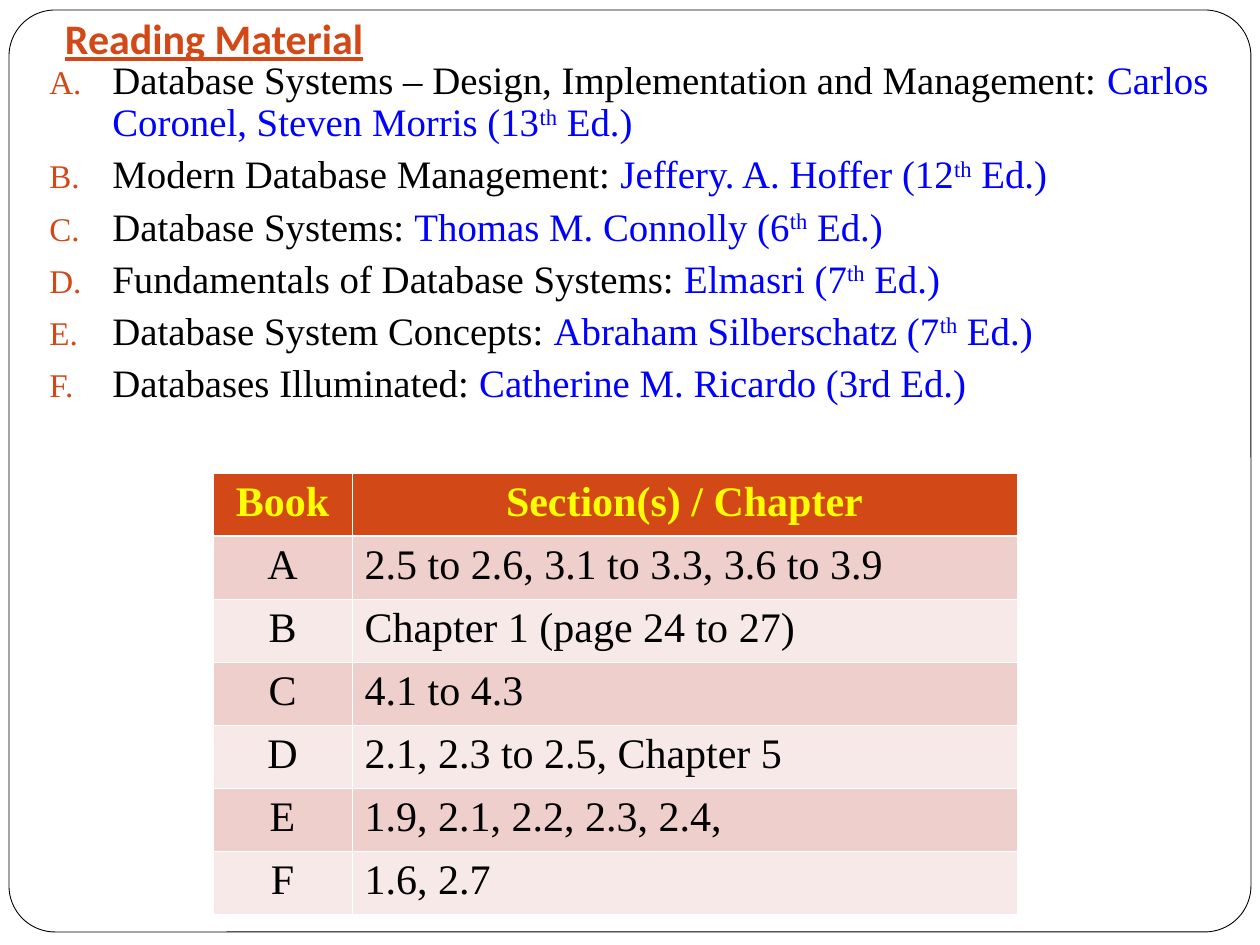
from lxml.etree import SubElement
from pptx import Presentation
from pptx.dml.color import RGBColor
from pptx.enum.shapes import MSO_SHAPE as Shape
from pptx.enum.text import MSO_ANCHOR as Anchor, MSO_AUTO_SIZE as AutoSize, PP_ALIGN as Align
from pptx.oxml.ns import qn
from pptx.util import Emu, Pt

ORANGE, BLUE, BLACK, WHITE, YELLOW = "D34817", "0000FF", "000000", "FFFFFF", "FFFF00"
BANDS = ["F7E9E7", "EFCFCC"]
SERIF = "Times New Roman"


def px(count):
    """Turn pixels, 126 to the inch, into EMU."""
    return Emu(round(count * 914400 / 126))


def add_span(para, text, color, **formats):
    span = para.add_run()
    span.text = text
    span.font.color.rgb = RGBColor.from_string(color)
    for name, value in formats.items():
        setattr(span.font, name, value)
    return span


deck = Presentation()
deck.slide_width, deck.slide_height = px(1260), px(945)
page = deck.slides.add_slide(deck.slide_layouts[5])

# Title
title = page.shapes.title
title.left, title.top, title.width, title.height = px(52), px(13), px(949), px(63)
title_format = {"auto_size": AutoSize.NONE, "vertical_anchor": Anchor.BOTTOM, "word_wrap": True,
                "margin_left": px(13), "margin_right": px(13),
                "margin_top": px(6), "margin_bottom": px(13)}
for name, value in title_format.items():
    setattr(title.text_frame, name, value)
title_para = title.text_frame.paragraphs[0]
title_para.alignment = Align.LEFT
add_span(title_para, "Reading Material", ORANGE,
         name="Calibri", size=Pt(24), bold=True, underline=True)

# Rounded page frame, behind the title
frame = page.shapes.add_shape(Shape.ROUNDED_RECTANGLE, px(9), px(10), px(1242), px(922))
frame.adjustments[0] = 0.05
frame.shadow.inherit = False
frame.fill.solid()
frame.fill.fore_color.rgb = RGBColor.from_string(WHITE)
frame.line.color.rgb = RGBColor.from_string(BLACK)
frame.line.width = Pt(0.5)
title.element.addprevious(frame.element)

# Lettered book list: title, authors, superscript, ending
books = [
    ("Database Systems – Design, Implementation and Management: ",
     "Carlos Coronel, Steven Morris (13", "th", " Ed.)"),
    ("Modern Database Management: ", "Jeffery. A. Hoffer (12", "th", " Ed.)"),
    ("Database Systems: ", "Thomas M. Connolly (6", "th", " Ed.)"),
    ("Fundamentals of Database Systems: ", "Elmasri (7", "th", " Ed.)"),
    ("Database System Concepts: ", "Abraham Silberschatz (7", "th", " Ed.)"),
    ("Databases Illuminated: ", "Catherine M. Ricardo (3rd Ed.)"),
]
book_box = page.shapes.add_textbox(px(37), px(55), px(1187), px(422))
book_text = book_box.text_frame
book_text.word_wrap = True
for index, parts in enumerate(books):
    para = book_text.add_paragraph() if index else book_text.paragraphs[0]
    para.line_spacing = 0.9
    para.space_before = Pt(5.8 if index else 0)
    properties = para._p.get_or_add_pPr()
    properties.set("marL", str(px(63)))
    properties.set("indent", str(-px(63)))
    bullet_color = SubElement(properties, qn("a:buClr"))
    SubElement(bullet_color, qn("a:srgbClr"), val=ORANGE)
    SubElement(properties, qn("a:buSzPct"), val="85000")
    SubElement(properties, qn("a:buFont"), typeface=SERIF)
    SubElement(properties, qn("a:buAutoNum"), type="alphaUcPeriod")
    for position, part in enumerate(parts):
        span = add_span(para, part, BLUE if position else BLACK, name=SERIF, size=Pt(22.2))
        if part == "th":
            span.font._element.set("baseline", "30000")

# Chapter table
rows = [
    ("Book", "Section(s) / Chapter"),
    ("A", "2.5 to 2.6, 3.1 to 3.3, 3.6 to 3.9"),
    ("B", "Chapter 1 (page 24 to 27)"),
    ("C", "4.1 to 4.3"),
    ("D", "2.1, 2.3 to 2.5, Chapter 5"),
    ("E", "1.9, 2.1, 2.2, 2.3, 2.4,"),
    ("F", "1.6, 2.7"),
]
table = page.shapes.add_table(len(rows), 2, px(213), px(473), px(804), px(63 * len(rows))).table
for column, width in zip(table.columns, (139, 665)):
    column.width = px(width)
for r, row in enumerate(rows):
    table.rows[r].height = px(63)
    for c, text in enumerate(row):
        cell = table.cell(r, c)
        header = r == 0
        para = cell.text_frame.paragraphs[0]
        para.alignment = Align.CENTER if header or c == 0 else Align.LEFT
        add_span(para, text, YELLOW if header else BLACK, name=SERIF, size=Pt(24), bold=header)
        cell_properties = cell._tc.get_or_add_tcPr()
        for side in ("lnL", "lnR", "lnT", "lnB"):
            thick = (r, side) in ((0, "lnB"), (1, "lnT"))
            border = SubElement(cell_properties, qn(f"a:{side}"), w=str(Pt(1.5 if thick else 0.45)))
            border_fill = SubElement(border, qn("a:solidFill"))
            SubElement(border_fill, qn("a:srgbClr"), val=WHITE)
        cell.fill.solid()
        cell.fill.fore_color.rgb = RGBColor.from_string(ORANGE if header else BANDS[r % 2])

deck.save("out.pptx")
